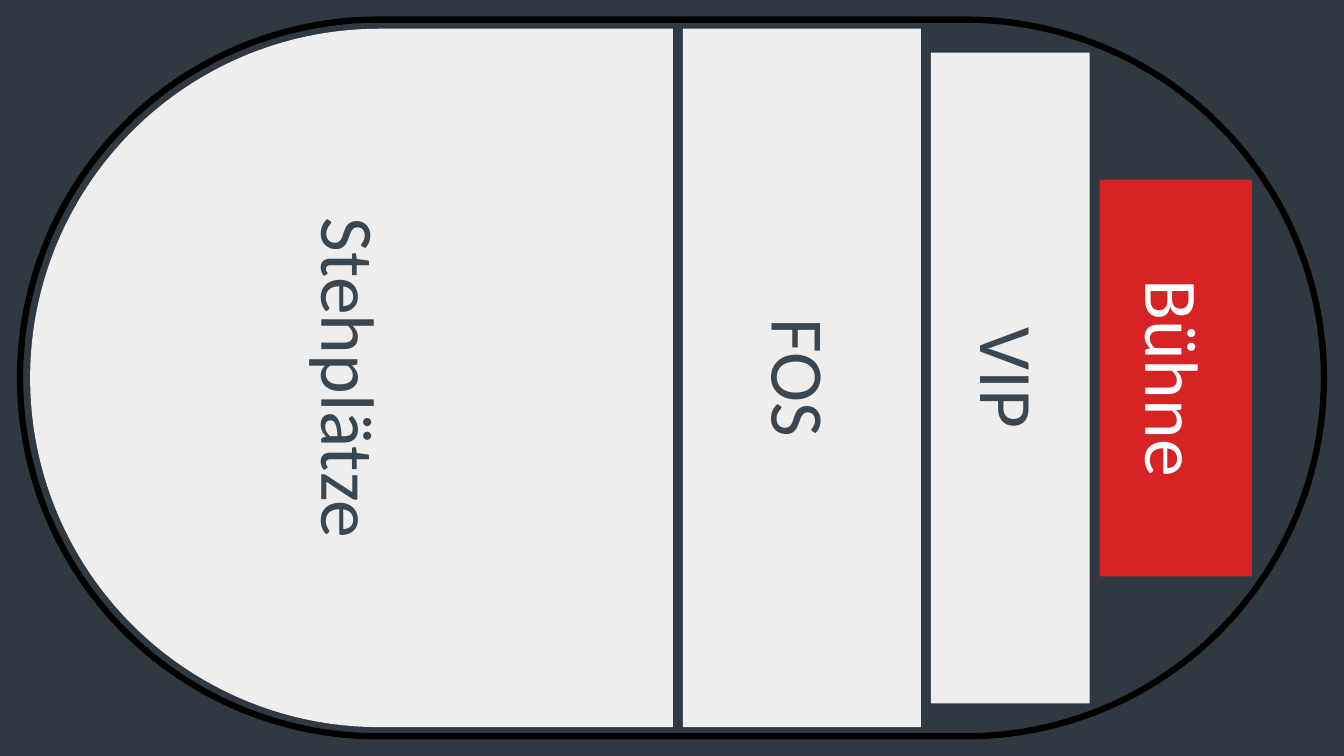
from math import cos, pi, sin

from pptx import Presentation
from pptx.dml.color import RGBColor
from pptx.enum.shapes import MSO_SHAPE
from pptx.enum.text import MSO_ANCHOR, PP_ALIGN
from pptx.util import Cm, Pt

RECTANGLE = MSO_SHAPE.RECTANGLE
ROUNDED = MSO_SHAPE.ROUNDED_RECTANGLE
MIDDLE = MSO_ANCHOR.MIDDLE
CENTER = PP_ALIGN.CENTER

NIGHT = RGBColor(0x30, 0x38, 0x41)
SEATING = RGBColor(0xEE, 0xEE, 0xEE)
SLATE = RGBColor(0x3A, 0x47, 0x50)
RED = RGBColor(0xD7, 0x23, 0x23)
WHITE = RGBColor(0xFF, 0xFF, 0xFF)
BLACK = RGBColor(0, 0, 0)

# Label, width and height in cm, fill, text colour, rounded left end; left to right
AREAS = [
    ("Stehplätze", 16.2, 17.6, SEATING, SLATE, True),
    ("FOS", 6, 17.6, SEATING, SLATE, False),
    ("VIP", 4, 16.4, SEATING, SLATE, False),
    ("Bühne", 3.84, 10, RED, WHITE, False),
]
SLIDE_WIDTH, SLIDE_HEIGHT = 33.87, 19.05
FIRST_LEFT, GAP = 0.76, 0.25
ARENA_WIDTH, ARENA_HEIGHT = 32.86, 18.06
ARC_STEPS = 90


def add_rounded_end(slide, left, top, width, height):
    """Draw an area whose left end is a half circle."""
    radius = height / 2
    arc = [
        (Cm(left + radius - radius * sin(pi * step / ARC_STEPS)),
         Cm(top + radius + radius * cos(pi * step / ARC_STEPS)))
        for step in range(ARC_STEPS + 1)
    ]
    right, bottom = Cm(left + width), Cm(top + height)
    outline = slide.shapes.build_freeform(right, Cm(top))
    outline.add_line_segments([(right, bottom)] + arc, close=True)
    return outline.convert_to_shape()


def add_label(area, label, color):
    """Write a centred label that reads from top to bottom."""
    frame = area.text_frame
    frame.text = label
    frame.vertical_anchor = MIDDLE
    area.element.txBody.bodyPr.set("vert", "vert")
    paragraph = frame.paragraphs[0]
    paragraph.alignment = CENTER
    font = paragraph.runs[0].font
    font.name, font.size = "Calibri", Pt(54)
    font.color.rgb = color


def add_arena(slide):
    """Draw the arena outline centred on the slide."""
    arena = slide.shapes.add_shape(
        ROUNDED, Cm((SLIDE_WIDTH - ARENA_WIDTH) / 2),
        Cm((SLIDE_HEIGHT - ARENA_HEIGHT) / 2), Cm(ARENA_WIDTH), Cm(ARENA_HEIGHT))
    arena.adjustments[0] = 0.5
    arena.shadow.inherit = False
    arena.fill.background()
    arena.line.color.rgb = BLACK
    arena.line.width = Pt(4.5)


def add_areas(slide):
    """Place the areas side by side, each centred vertically."""
    left = FIRST_LEFT
    for label, width, height, fill, text_color, rounded in AREAS:
        top = (SLIDE_HEIGHT - height) / 2
        if rounded:
            area = add_rounded_end(slide, left, top, width, height)
        else:
            area = slide.shapes.add_shape(
                RECTANGLE, Cm(left), Cm(top), Cm(width), Cm(height))
        area.shadow.inherit = False
        area.fill.solid()
        area.fill.fore_color.rgb = fill
        area.line.fill.background()
        add_label(area, label, text_color)
        left += width + GAP


prs = Presentation()
prs.slide_width, prs.slide_height = Cm(SLIDE_WIDTH), Cm(SLIDE_HEIGHT)
plan = prs.slides.add_slide(prs.slide_layouts[6])
plan.background.fill.solid()
plan.background.fill.fore_color.rgb = NIGHT
add_arena(plan)
add_areas(plan)
prs.save("out.pptx")
